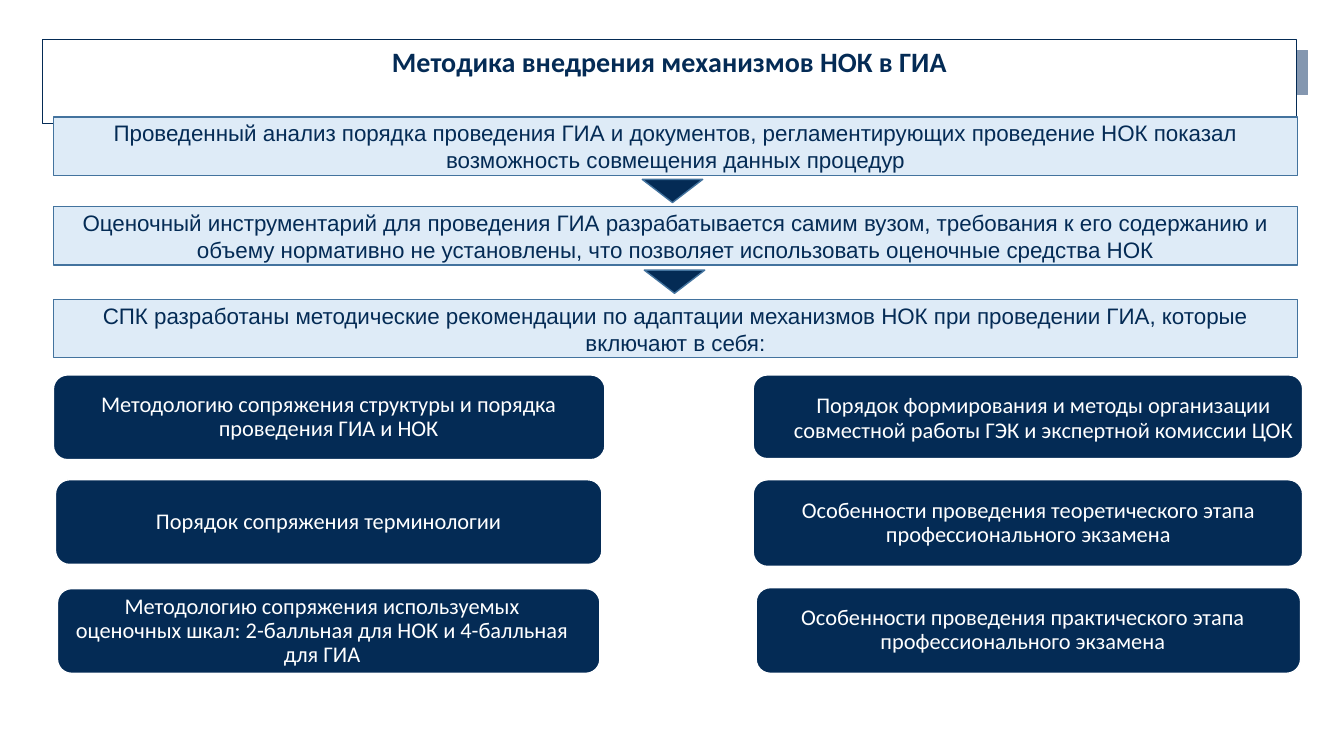
from lxml.etree import SubElement
from pptx import Presentation
from pptx.dml.color import RGBColor
from pptx.enum.shapes import MSO_SHAPE as Preset
from pptx.enum.text import MSO_ANCHOR as Anchor, MSO_AUTO_SIZE as AutoSize, PP_ALIGN as Align
from pptx.oxml.ns import qn
from pptx.util import Emu, Pt

EMU_PER_PX = 9144
NAVY = RGBColor(0x04, 0x2B, 0x55)
WHITE = RGBColor(0xFF, 0xFF, 0xFF)
PALE_BLUE = RGBColor(0xDE, 0xEB, 0xF7)
EDGE_BLUE = RGBColor(0x43, 0x73, 0x9E)
GREY_BLUE = RGBColor(0x84, 0x97, 0xB0)

TITLE = "Методика внедрения механизмов НОК в ГИА"
STATEMENTS = [
    (116, "Проведенный анализ порядка проведения ГИА и документов, регламентирующих "
          "проведение НОК показал возможность совмещения данных процедур"),
    (205, "Оценочный инструментарий для проведения ГИА разрабатывается самим вузом, "
          "требования к его содержанию и объему нормативно не установлены, "
          "что позволяет использовать оценочные средства НОК"),
    (297, "СПК разработаны методические рекомендации по адаптации механизмов НОК "
          "при проведении ГИА, которые включают в себя:"),
]
ARROWS = [(637, 178), (639, 268)]
CARDS = [
    ((53, 372, 547, 84), (55, 376, 542, 76),
     "Методологию сопряжения структуры и порядка проведения ГИА и НОК"),
    ((55, 476, 542, 84), (57, 480, 538, 76),
     "Порядок сопряжения терминологии"),
    ((57, 584, 538, 84), (53, 580, 533, 93),
     "Методологию сопряжения используемых оценочных шкал: "
     "2-балльная для НОК и 4-балльная для ГИА"),
    ((747, 372, 545, 83), (756, 374, 558, 83),
     "Порядок формирования и методы организации совместной работы "
     "ГЭК и экспертной комиссии ЦОК"),
    ((747, 476, 545, 86), (750, 480, 540, 78),
     "Особенности проведения теоретического этапа профессионального экзамена"),
    ((750, 583, 540, 85), (747, 587, 535, 77),
     "Особенности проведения практического этапа профессионального экзамена"),
]


def px(length):
    return Emu(length * EMU_PER_PX)


def paint(shape, fill, line, width=1):
    shape.fill.solid()
    shape.fill.fore_color.rgb = fill
    shape.line.color.rgb = line
    shape.line.width = Pt(width)


def add_block(shapes, preset, box, fill, line):
    shape = shapes.add_shape(preset, *map(px, box))
    shape.shadow.inherit = False
    paint(shape, fill, line)
    return shape


def write(shape, text, font, size, color, bold=False, anchor=Anchor.MIDDLE):
    frame = shape.text_frame
    frame.word_wrap = True
    frame.vertical_anchor = anchor
    paragraph = frame.paragraphs[0]
    paragraph.alignment = Align.CENTER
    run = paragraph.add_run()
    run.text = text
    run.font.name = font
    run.font.size = Pt(size)
    run.font.bold = bold
    run.font.color.rgb = color
    return paragraph


def outline_text(run, color, width):
    properties = run.font._element if hasattr(run.font, "_element") else run._r.get_or_add_rPr()
    line = SubElement(properties, qn("a:ln"), w=str(Pt(width)))
    fill = SubElement(line, qn("a:solidFill"))
    SubElement(fill, qn("a:srgbClr"), val=str(color))
    properties.insert(0, line)


def add_title(slide):
    backing = add_block(slide.shapes, Preset.RECTANGLE, (53, 50, 1244, 44), GREY_BLUE, GREY_BLUE)
    title = slide.shapes.title
    title.left, title.top, title.width, title.height = map(px, (42, 39, 1244, 44))
    paint(title, WHITE, NAVY, 0.75)
    paragraph = write(title, TITLE, "Calibri", 20, NAVY, bold=True, anchor=Anchor.TOP)
    paragraph.line_spacing = 1.0
    title.text_frame.auto_size = AutoSize.SHAPE_TO_FIT_TEXT
    backing.element.addnext(title.element)


def add_statement(slide, top, text):
    bar = add_block(slide.shapes, Preset.RECTANGLE, (53, top, 1234, 58), PALE_BLUE, EDGE_BLUE)
    paragraph = write(bar, text, "Arial", 16, NAVY)
    outline_text(paragraph.runs[0], NAVY, 0.75)


def add_arrow(slide, left, top):
    arrow = add_block(slide.shapes, Preset.DOWN_ARROW, (left, top, 60, 23), NAVY, EDGE_BLUE)
    arrow.adjustments[0] = 0.32
    arrow.adjustments[1] = 1


def add_card(slide, box, text_box, text):
    group = slide.shapes.add_group_shape()
    add_block(group.shapes, Preset.ROUNDED_RECTANGLE, box, NAVY, WHITE)
    label = group.shapes.add_textbox(*map(px, text_box))
    frame = label.text_frame
    frame.margin_left = frame.margin_right = px(16)
    frame.margin_top = frame.margin_bottom = 0
    paragraph = write(label, text, "Calibri", 16, WHITE)
    paragraph.line_spacing = 0.9


def main():
    presentation = Presentation()
    presentation.slide_width = px(1333)
    presentation.slide_height = px(750)
    slide = presentation.slides.add_slide(presentation.slide_layouts[5])
    for box, text_box, text in CARDS:
        add_card(slide, box, text_box, text)
    add_title(slide)
    for top, text in STATEMENTS:
        add_statement(slide, top, text)
    for left, top in ARROWS:
        add_arrow(slide, left, top)
    presentation.save("out.pptx")


if __name__ == "__main__":
    main()
